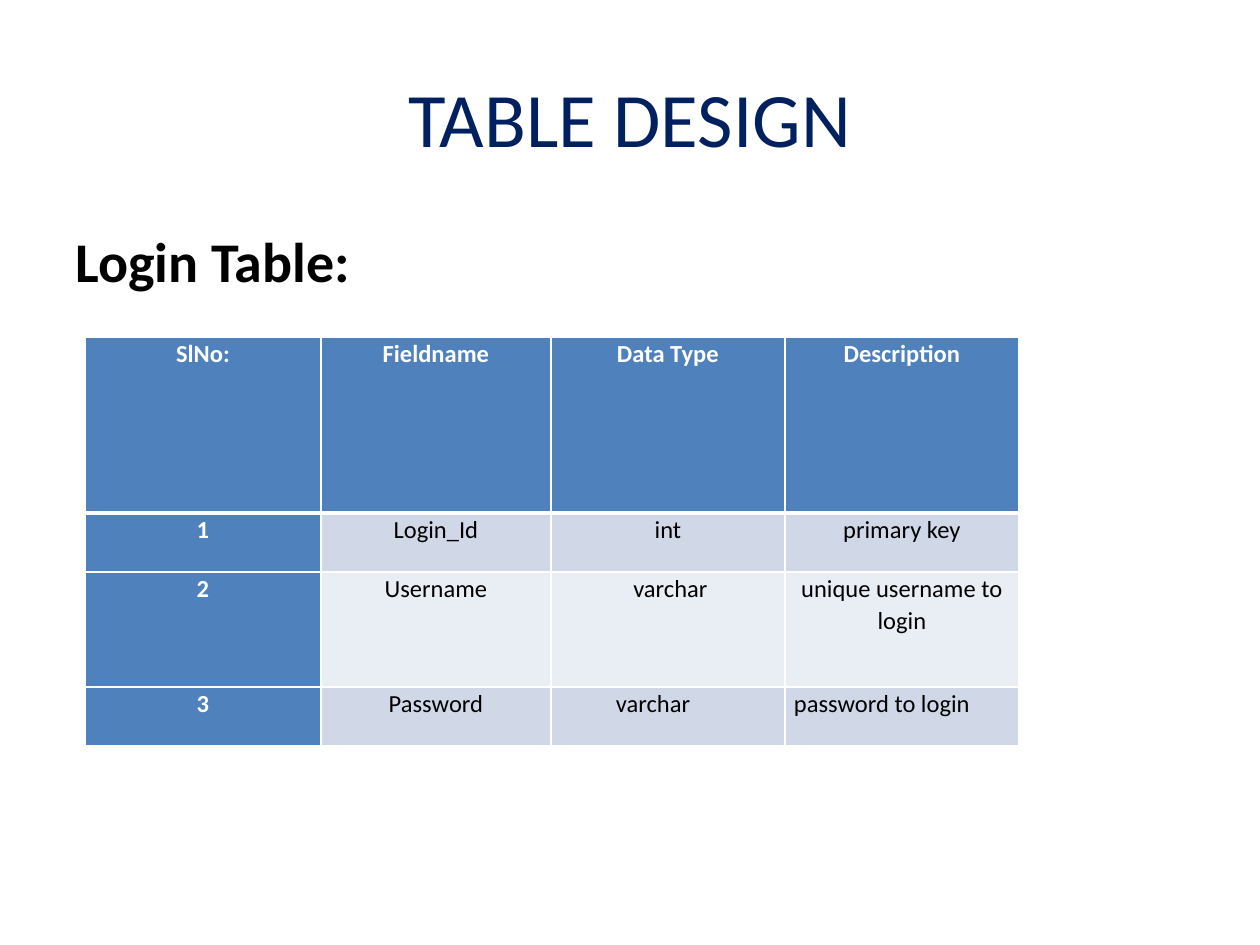
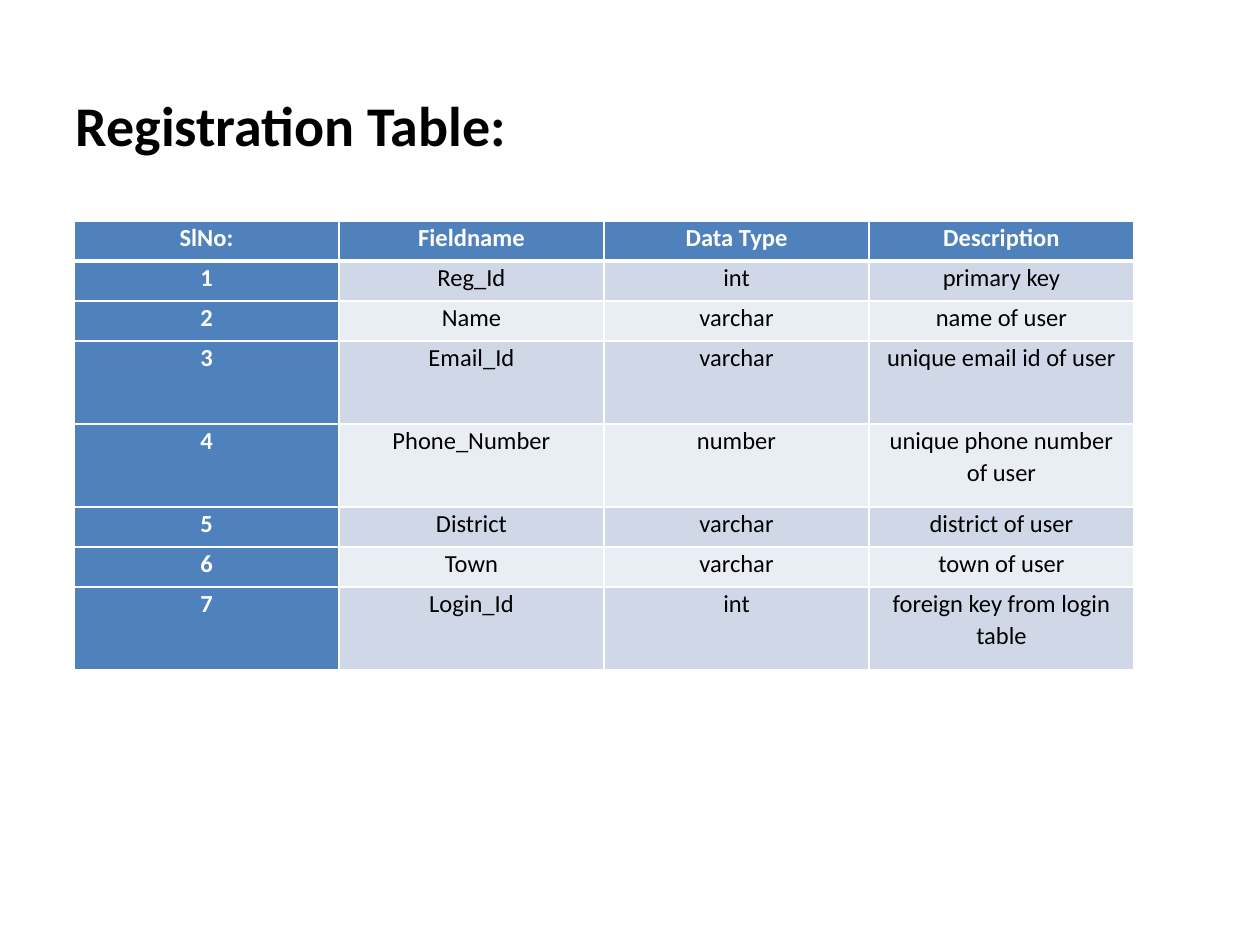
from dataclasses import dataclass

from lxml import etree
from pptx import Presentation
from pptx.dml.color import RGBColor
from pptx.enum.text import MSO_ANCHOR, MSO_AUTO_SIZE, PP_ALIGN
from pptx.oxml.ns import qn
from pptx.util import Emu, Pt

LEFT, CENTER = PP_ALIGN.LEFT, PP_ALIGN.CENTER
TOP, MIDDLE = MSO_ANCHOR.TOP, MSO_ANCHOR.MIDDLE
NO_FIT = MSO_AUTO_SIZE.NONE
TITLE_ONLY = 5
SCALE = 914400 / 126


def px(n):
    return Emu(round(n * SCALE))


@dataclass(frozen=True)
class Theme:
    font: str = "Calibri"
    navy: str = "002060"
    black: str = "000000"
    white: str = "FFFFFF"
    head: str = "4F81BD"
    bands: tuple = ("D0D8E8", "E9EDF4")
    title_size: int = 44
    heading_size: int = 32
    cell_size: int = 14
    line: int = 1
    head_line: int = 3
    cell_spacing: float = 1.07


def write(tf, text, *, font, size, color, bold=False, align=LEFT,
          anchor=None, spacing=None, indent=0):
    tf.word_wrap = True
    if anchor is not None:
        tf.vertical_anchor = anchor
        tf.auto_size = NO_FIT
    p = tf.paragraphs[0]
    p.alignment = align
    if spacing:
        p.line_spacing = spacing
    if indent:
        p._p.get_or_add_pPr().set("marL", str(px(indent)))
    r = p.add_run()
    r.text = text
    r.font.name = font
    r.font.size = Pt(size)
    r.font.bold = bold
    r.font.color.rgb = RGBColor.from_string(color)


class Deck:
    def __init__(self, theme):
        self.t = theme
        self.prs = Presentation()
        self.prs.slide_width, self.prs.slide_height = px(1260), px(945)
        self.s = None

    def slide(self):
        self.s = self.prs.slides.add_slide(self.prs.slide_layouts[TITLE_ONLY])

    def place_title(self, x, y, w, h):
        sp = self.s.shapes.title
        sp.left, sp.top, sp.width, sp.height = map(px, (x, y, w, h))
        return sp

    def title(self, text, box):
        write(self.place_title(*box).text_frame, text, font=self.t.font,
              size=self.t.title_size, color=self.t.navy,
              align=CENTER, anchor=MIDDLE)

    def heading(self, text, box, as_title=False):
        if as_title:
            sp = self.place_title(*box)
        else:
            sp = self.s.shapes.add_textbox(*map(px, box))
        write(sp.text_frame, text, font=self.t.font, size=self.t.heading_size,
              color=self.t.black, bold=True, anchor=TOP)

    def borders(self, cell, row):
        tcPr = cell._tc.get_or_add_tcPr()
        thick = {"lnB": row == 0, "lnT": row == 1}
        for side in ("lnL", "lnR", "lnT", "lnB"):
            width = self.t.head_line if thick.get(side) else self.t.line
            ln = etree.SubElement(tcPr, qn(f"a:{side}"), w=str(Pt(width)))
            fill = etree.SubElement(ln, qn("a:solidFill"))
            etree.SubElement(fill, qn("a:srgbClr"), val=self.t.white)

    def cell(self, cell, text, row, col, **fmt):
        self.borders(cell, row)
        head = row == 0 or col == 0
        cell.fill.solid()
        cell.fill.fore_color.rgb = RGBColor.from_string(
            self.t.head if head else self.t.bands[(row - 1) % 2])
        cell.margin_left = cell.margin_right = px(9)
        cell.margin_top = cell.margin_bottom = 0
        style = dict(font=self.t.font, size=self.t.cell_size, bold=head,
                     color=self.t.white if head else self.t.black,
                     align=CENTER, spacing=self.t.cell_spacing)
        write(cell.text_frame, text, **{**style, **fmt})

    def table(self, x, y, widths, heights, fields, formats=None):
        rows = [("SlNo:", "Fieldname", "Data Type", "Description")]
        rows += [(str(n), *field) for n, field in enumerate(fields, 1)]
        tb = self.s.shapes.add_table(
            len(rows), len(widths), px(x), px(y),
            px(sum(widths)), px(sum(heights))).table
        for col, w in zip(tb.columns, widths):
            col.width = px(w)
        for row, h in zip(tb.rows, heights):
            row.height = px(h)
        for i, row in enumerate(rows):
            for j, text in enumerate(row):
                fmt = (formats or {}).get((i, j), {})
                self.cell(tb.cell(i, j), text, i, j, **fmt)


deck = Deck(Theme())

deck.slide()
deck.title("TABLE DESIGN", (63, 38, 1134, 157))
deck.heading("Login Table:", (63, 220, 1134, 624))
deck.table(
    85, 337, (236, 230, 234, 234), (176, 59, 115, 59),
    [("Login_Id", "int", "primary key"),
     ("Username", "varchar", "unique username to login"),
     ("Password", "varchar", "password to login")],
    {(2, 2): dict(indent=5),
     (3, 2): dict(align=LEFT, indent=56),
     (3, 3): dict(align=LEFT)})

deck.slide()
deck.heading("Registration Table:", (63, 84, 1134, 760), as_title=True)
short, tall = 40, 83
deck.table(
    74, 221, (265,) * 4,
    (short, short, short, tall, tall, short, short, tall),
    [("Reg_Id", "int", "primary key"),
     ("Name", "varchar", "name of user"),
     ("Email_Id", "varchar", "unique email id of user"),
     ("Phone_Number", "number", "unique phone number of user"),
     ("District", "varchar", "district of user"),
     ("Town", "varchar", "town of user"),
     ("Login_Id", "int", "foreign key from login table")])

deck.prs.save("out.pptx")
